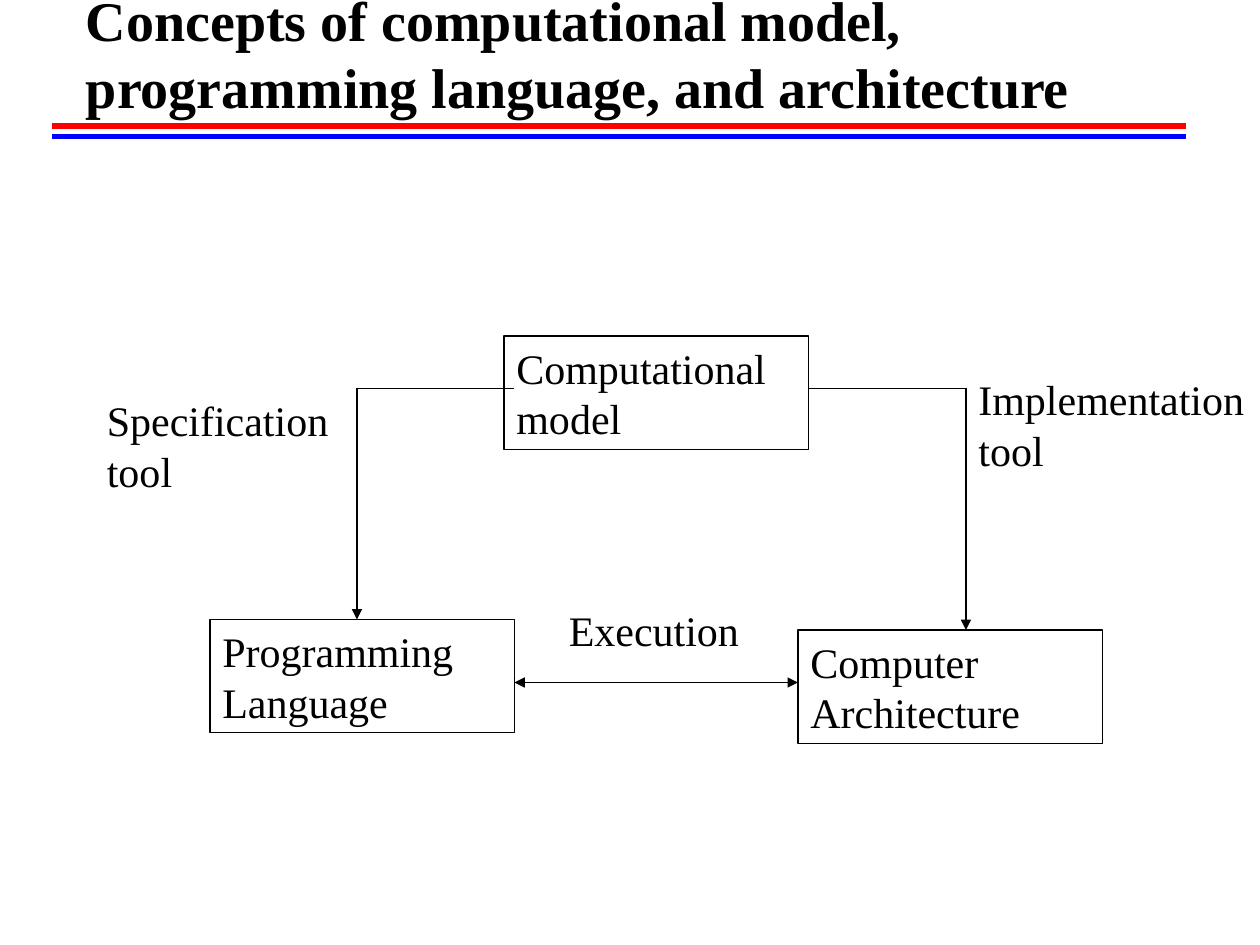
from dataclasses import dataclass

from lxml import etree
from pptx import Presentation
from pptx import util as u
from pptx.dml.color import RGBColor
from pptx.enum import shapes, text
from pptx.oxml.ns import qn

EMU_PER_PX = 7620  # 120 px to the inch


def px(length):
    return u.Emu(length * EMU_PER_PX)


@dataclass(frozen=True)
class Theme:
    font: str = "Times New Roman"
    ink: RGBColor = RGBColor(0, 0, 0)
    red: RGBColor = RGBColor(255, 0, 0)
    blue: RGBColor = RGBColor(0, 0, 255)
    title_size: int = 32
    body_size: int = 24
    thin: float = 0.75
    thick: float = 3


class SlideBuilder:
    def __init__(self, slide, theme):
        self.slide = slide
        self.theme = theme

    def set_text(self, shape, wording, size, bold=False):
        frame = shape.text_frame
        frame.text = wording
        frame.word_wrap = True
        paragraph = frame.paragraphs[0]
        paragraph.alignment = text.PP_ALIGN.LEFT
        for run in paragraph.runs:
            run.font.name = self.theme.font
            run.font.size = u.Pt(size)
            run.font.bold = bold
            run.font.color.rgb = self.theme.ink
        return frame

    def title(self, wording, left, top, width, height):
        shape = self.slide.shapes.add_textbox(px(left), px(top), px(width), px(height))
        frame = self.set_text(shape, wording, self.theme.title_size, bold=True)
        frame.vertical_anchor = text.MSO_ANCHOR.BOTTOM

    def label(self, wording, left, top, width, height):
        shape = self.slide.shapes.add_textbox(px(left), px(top), px(width), px(height))
        self.set_text(shape, wording, self.theme.body_size)

    def box(self, wording, left, top, width=290, height=108):
        shape = self.slide.shapes.add_shape(
            shapes.MSO_SHAPE.RECTANGLE, px(left), px(top), px(width), px(height))
        shape.shadow.inherit = False
        shape.fill.background()
        shape.line.color.rgb = self.theme.ink
        shape.line.width = u.Pt(self.theme.thin)
        frame = self.set_text(shape, wording, self.theme.body_size)
        frame.vertical_anchor = text.MSO_ANCHOR.TOP

    def line(self, start, end, color=None, width=None, arrows=()):
        """Draw a straight line; arrows names its ends: headEnd, then tailEnd."""
        connector = self.slide.shapes.add_connector(
            shapes.MSO_CONNECTOR.STRAIGHT, *map(px, start + end))
        connector.line.color.rgb = color or self.theme.ink
        connector.line.width = u.Pt(width or self.theme.thin)
        properties = connector._element.spPr
        outline = properties.find(qn("a:ln"))
        for arrow in arrows:
            etree.SubElement(outline, qn(f"a:{arrow}"), type="triangle")
        etree.SubElement(properties, qn("a:effectLst"))


def main():
    presentation = Presentation()
    presentation.slide_width, presentation.slide_height = px(1200), px(900)
    theme = Theme()
    builder = SlideBuilder(
        presentation.slides.add_slide(presentation.slide_layouts[6]), theme)

    for y, color in ((130, theme.blue), (120, theme.red)):
        builder.line((50, y), (1130, y), color, theme.thick)
    builder.title("Concepts of computational model, programming language, and architecture",
                  70, 30, 1060, 90)

    builder.box("Computational model", 480, 320)
    builder.box("Programming Language", 200, 590)
    builder.box("Computer Architecture", 760, 600)

    for model_x, branch_x, target_y in ((770, 920, 600), (490, 340, 590)):
        builder.line((model_x, 370), (branch_x, 370))
        builder.line((branch_x, 370), (branch_x, target_y), arrows=("tailEnd",))
    builder.line((490, 650), (760, 650), arrows=("headEnd", "tailEnd"))

    builder.label("Specification tool", 90, 370, 250, 108)
    builder.label("Implementation tool", 920, 350, 280, 108)
    builder.label("Execution", 530, 570, 250, 60)

    presentation.save("out.pptx")


if __name__ == "__main__":
    main()
